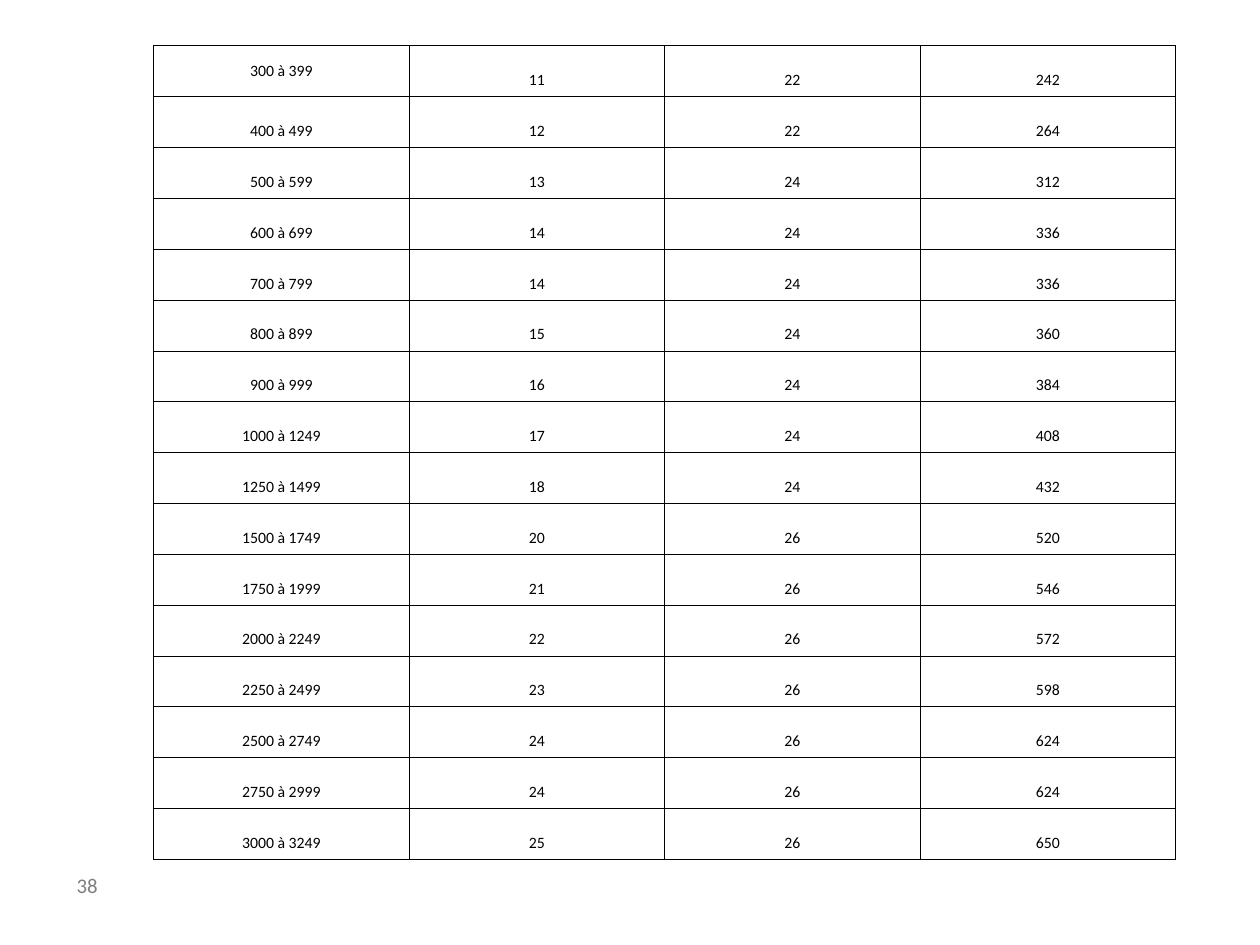
"""Build a slide with a table of ranges, counts and their products."""
from lxml import etree
from pptx import Presentation
from pptx.dml.color import RGBColor
from pptx.enum.text import MSO_ANCHOR, PP_ALIGN
from pptx.oxml.ns import qn
from pptx.util import Pt

MIDDLE = MSO_ANCHOR.MIDDLE
TOP = MSO_ANCHOR.TOP
CENTER = PP_ALIGN.CENTER
LEFT = PP_ALIGN.LEFT

COLORS = {"text": "000000", "rule": "000000", "page": "7F7F7F"}
ROWS = [
    ("300 à 399", 11, 22),
    ("400 à 499", 12, 22),
    ("500 à 599", 13, 24),
    ("600 à 699", 14, 24),
    ("700 à 799", 14, 24),
    ("800 à 899", 15, 24),
    ("900 à 999", 16, 24),
    ("1000 à 1249", 17, 24),
    ("1250 à 1499", 18, 24),
    ("1500 à 1749", 20, 26),
    ("1750 à 1999", 21, 26),
    ("2000 à 2249", 22, 26),
    ("2250 à 2499", 23, 26),
    ("2500 à 2749", 24, 26),
    ("2750 à 2999", 24, 26),
    ("3000 à 3249", 25, 26),
]
COL_W, ROW_H = 146, 29.07
PAD, DROP = 3.6, 10.35


def write(frame, text, size=9, color="text", align=LEFT, space=1.0):
    para = frame.paragraphs[0]
    para.alignment = align
    para.line_spacing = space
    run = para.add_run()
    run.text = text
    run.font.name = "Calibri"
    run.font.size = Pt(size)
    run.font.color.rgb = RGBColor.from_string(COLORS[color])


def edge(cell, width=0.45):
    props = cell._tc.get_or_add_tcPr()
    for side in ("lnL", "lnR", "lnT", "lnB"):
        line = etree.SubElement(props, qn(f"a:{side}"), w=str(Pt(width)))
        fill = etree.SubElement(line, qn("a:solidFill"))
        etree.SubElement(fill, qn("a:srgbClr"), val=COLORS["rule"])


def fill_cell(cell, text, drop):
    edge(cell)
    cell.fill.background()
    cell.vertical_anchor = MIDDLE
    cell.margin_left = cell.margin_right = cell.margin_bottom = Pt(PAD)
    cell.margin_top = Pt(PAD + drop)
    write(cell.text_frame, text, align=CENTER)


def add_grid(slide, left, top):
    cols = len(ROWS[0]) + 1
    table = slide.shapes.add_table(
        len(ROWS), cols, Pt(left), Pt(top),
        Pt(COL_W * cols), Pt(ROW_H * len(ROWS))).table
    table.first_row = table.horz_banding = False
    for col in table.columns:
        col.width = Pt(COL_W)
    for r, (span, count, size) in enumerate(ROWS):
        table.rows[r].height = Pt(ROW_H)
        for c, value in enumerate((span, count, size, count * size)):
            drop = 0 if r == c == 0 else DROP
            fill_cell(table.cell(r, c), str(value), drop)


def add_page(slide, text, left, top, width, height):
    box = slide.shapes.add_textbox(Pt(left), Pt(top), Pt(width), Pt(height))
    frame = box.text_frame
    frame.word_wrap = True
    frame.vertical_anchor = TOP
    write(frame, text, size=11.9, color="page", space=0.9)


def main():
    deck = Presentation()
    deck.slide_width, deck.slide_height = Pt(720), Pt(540)
    slide = deck.slides.add_slide(deck.slide_layouts[6])
    add_grid(slide, 87.8, 26.2)
    add_page(slide, "38", 36.7, 496.8, 88.6, 23)
    deck.save("out.pptx")


if __name__ == "__main__":
    main()
